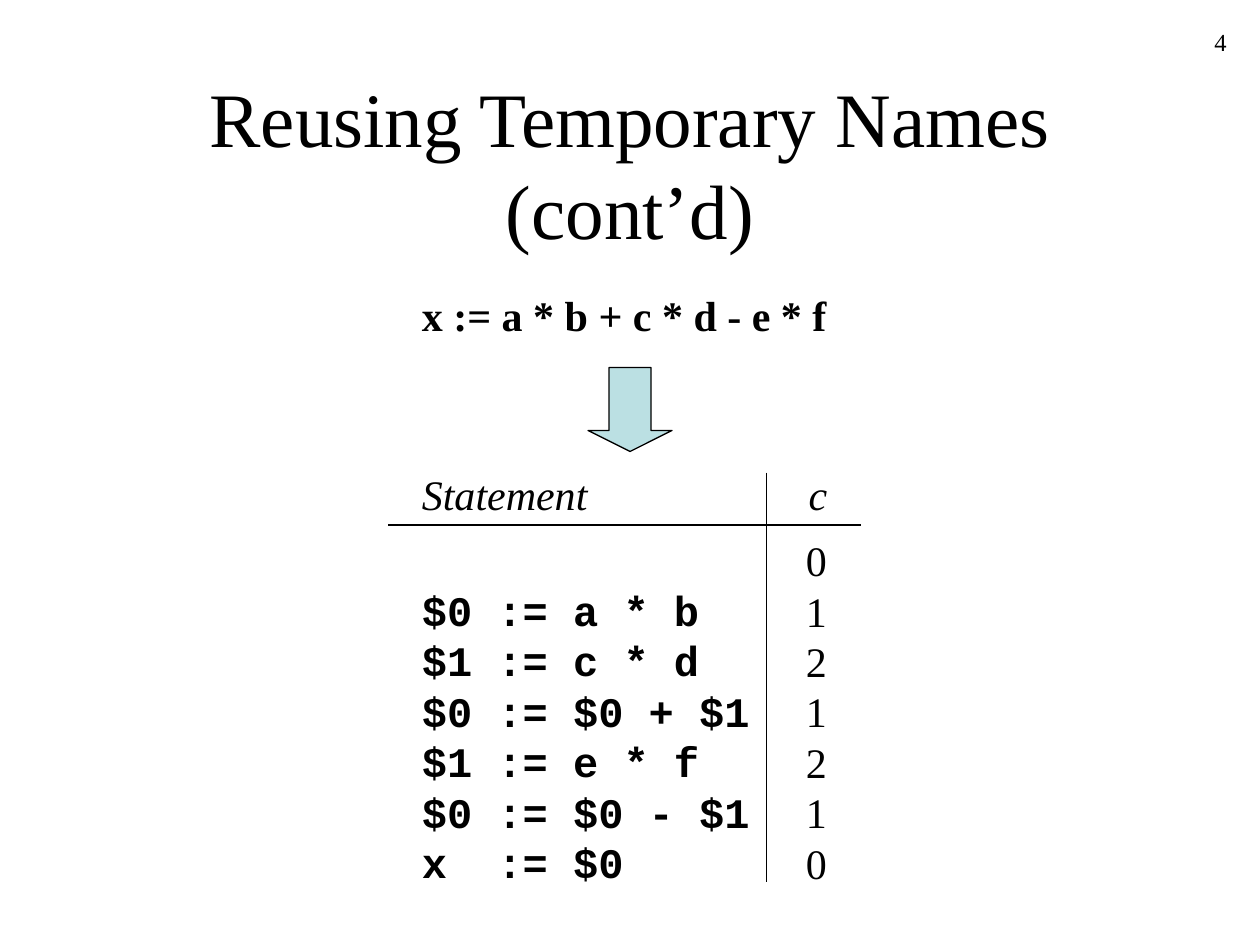
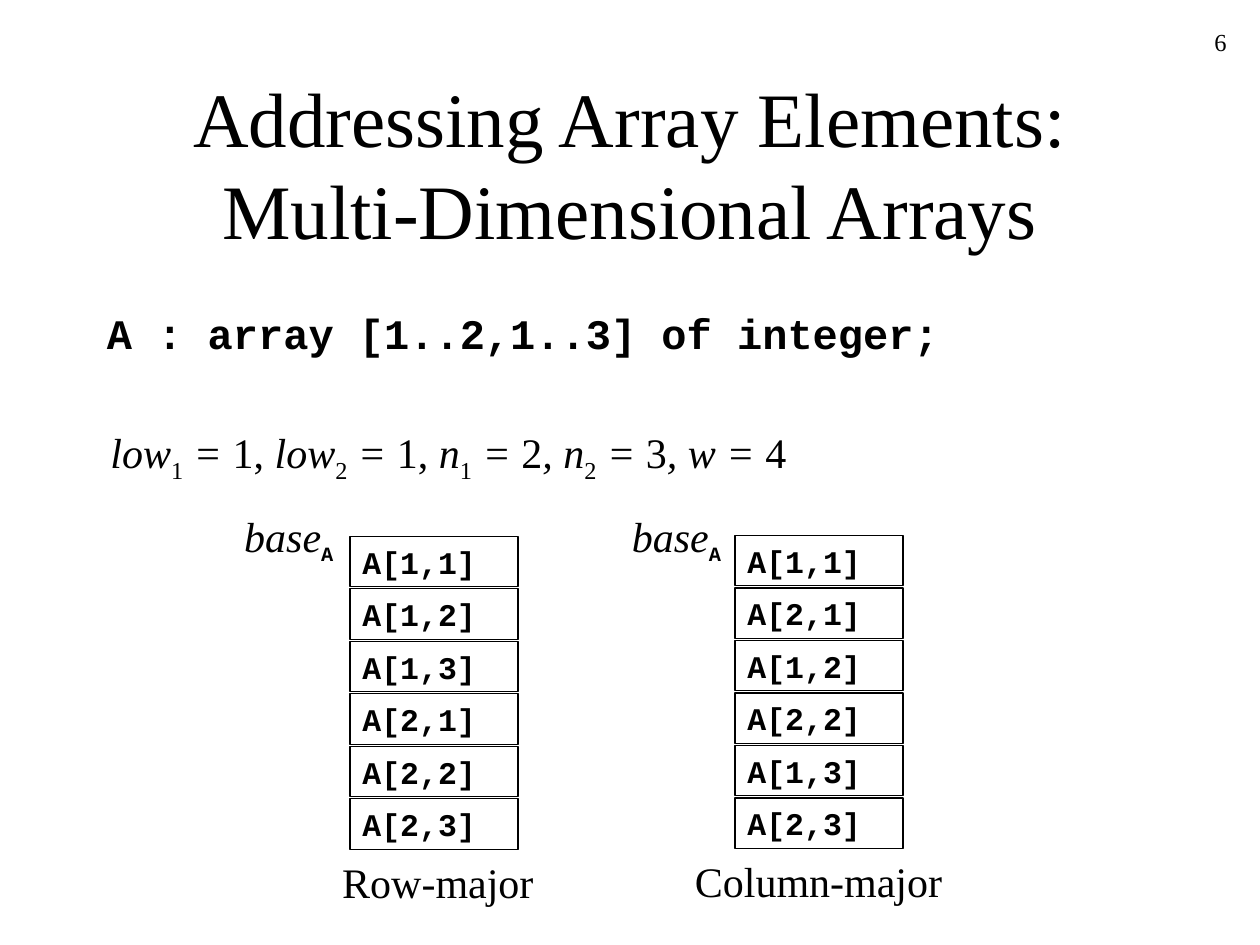
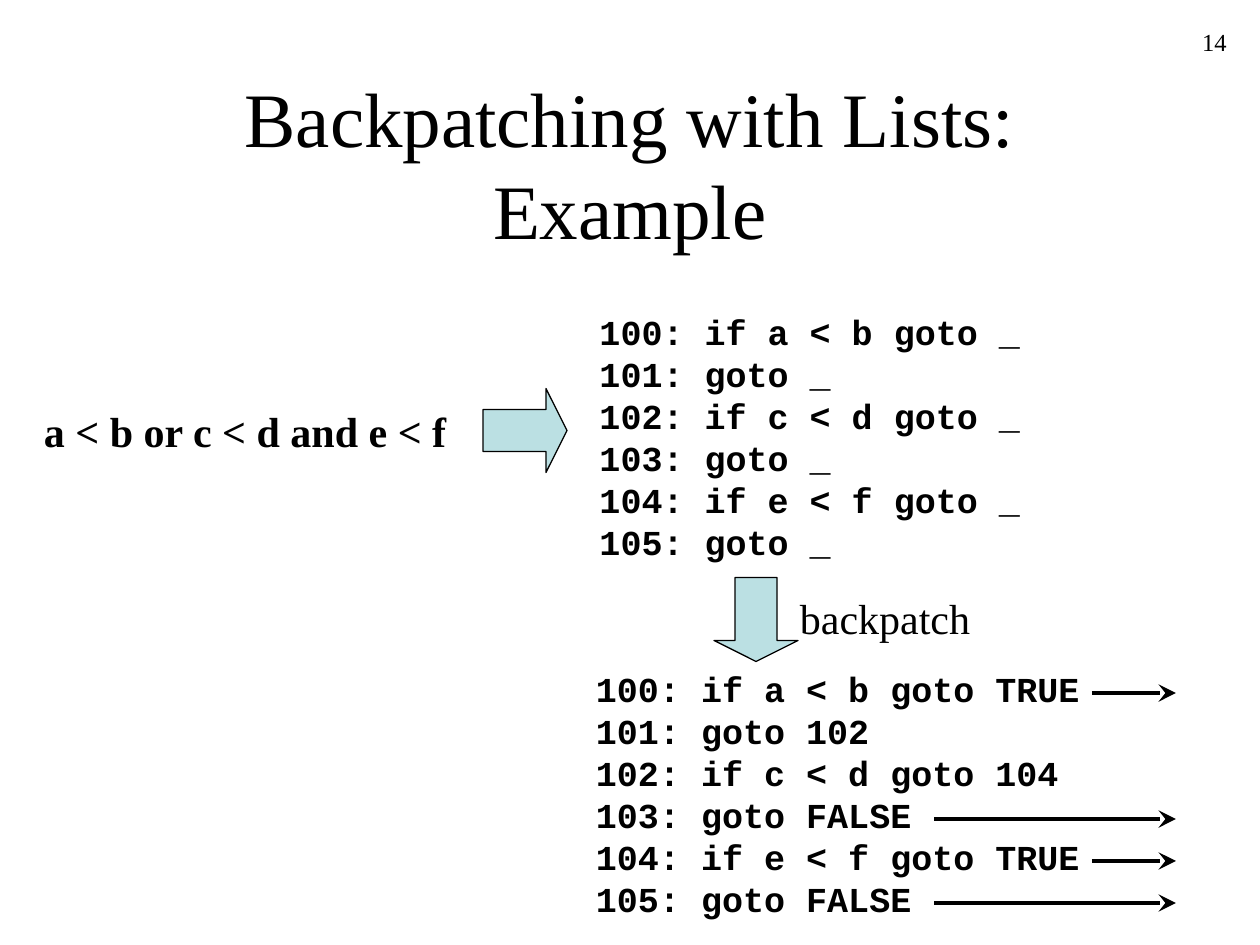
from lxml import etree
from pptx import Presentation
from pptx.dml.color import RGBColor
from pptx.enum.shapes import MSO_CONNECTOR, MSO_SHAPE
from pptx.enum.text import MSO_ANCHOR, MSO_AUTO_SIZE, PP_ALIGN
from pptx.oxml.ns import qn
from pptx.util import Pt

COLORS = {"ink": "000000", "arrow": "BBE0E3"}
SERIF, MONO = "Times New Roman", "Courier New"
LINE_HEIGHT = 1.2
TITLE_ONLY = 5

REUSE = {
    "number": 4,
    "title": "Reusing Temporary Names (cont’d)",
    "expression": "x := a * b + c * d - e * f",
    "headings": ("Statement", "c"),
    "statements": ["$0 := a * b", "$1 := c * d", "$0 := $0 + $1",
                   "$1 := e * f", "$0 := $0 - $1", "x  := $0"],
    "counts": ["0", "1", "2", "1", "2", "1", "0"],
}

PLAIN = {"italic": False}
SUB = {"italic": False, "subscript": True}
ARRAYS = {
    "number": 6,
    "title": "Addressing Array Elements: Multi-Dimensional Arrays",
    "declaration": "A : array [1..2,1..3] of integer;",
    "bounds": [
        ("low", {}), ("1", SUB), (" = ", {}), ("1, ", PLAIN),
        ("low", {}), ("2", SUB), (" = ", {}), ("1,", PLAIN),
        (" n", {}), ("1", SUB), (" = ", {}), ("2", PLAIN),
        (", n", {}), ("2", SUB), (" = ", {}), ("3", PLAIN),
        (", w = ", {}), ("4", PLAIN),
    ],
    "base": [("base", {}), ("A", {**SUB, "size": 20, "font": MONO, "bold": True})],
    # caption, caption left and width, base label left, cells left and top, cells
    "layouts": [
        ("Row-major", 188.5, 124, 132.5, 200, 306.5,
         [(row, column) for row in (1, 2) for column in (1, 2, 3)]),
        ("Column-major", 390, 156, 354, 420, 306,
         [(row, column) for column in (1, 2, 3) for row in (1, 2)]),
    ],
}

BACKPATCH = {
    "number": 14,
    "title": "Backpatching with Lists: Example",
    "expression": "a < b or c < d and e < f",
    "step": "backpatch",
    "before": ["100: if a < b goto _", "101: goto _", "102: if c < d goto _",
               "103: goto _", "104: if e < f goto _", "105: goto _"],
    "after": ["100: if a < b goto TRUE", "101: goto 102", "102: if c < d goto 104",
              "103: goto FALSE", "104: if e < f goto TRUE", "105: goto FALSE"],
    "exit_starts": {"TRUE": 624, "FALSE": 534},
}


def color(name):
    return RGBColor.from_string(COLORS[name])


def format_span(span, size, font, bold, italic, subscript):
    span.font.size = Pt(size)
    span.font.name = font
    span.font.bold = bold
    span.font.italic = italic
    span.font.color.rgb = color("ink")
    if subscript:
        span._r.get_or_add_rPr().set("baseline", "-25000")


def write(shape, content, align=PP_ALIGN.LEFT, anchor=MSO_ANCHOR.TOP, wrap=False,
          grow=True, size=24, font=SERIF, bold=False, italic=False, leading=None):
    """Fill a shape with a string, a list of lines, or a list of (text, style) spans."""
    frame = shape.text_frame
    frame.word_wrap = wrap
    frame.auto_size = MSO_AUTO_SIZE.SHAPE_TO_FIT_TEXT if grow else MSO_AUTO_SIZE.NONE
    frame.vertical_anchor = anchor
    para = frame.paragraphs[0]
    para.alignment = align
    para.line_spacing = Pt(leading or LINE_HEIGHT * size)
    base = dict(size=size, font=font, bold=bold, italic=italic, subscript=False)
    if isinstance(content, str):
        content = [content]
    for index, part in enumerate(content):
        if isinstance(part, str):
            if index:
                para.add_line_break()
            part = (part, {})
        text, style = part
        span = para.add_run()
        span.text = text
        format_span(span, **{**base, **style})


def add_text(page, content, left, top, width, height=36, **style):
    box = page.shapes.add_textbox(Pt(left), Pt(top), Pt(width), Pt(height))
    write(box, content, **style)


def add_shape(page, kind, left, top, width, height, fill=None):
    shape = page.shapes.add_shape(kind, Pt(left), Pt(top), Pt(width), Pt(height))
    shape.shadow.inherit = False
    if fill:
        shape.fill.solid()
        shape.fill.fore_color.rgb = color(fill)
    else:
        shape.fill.background()
    shape.line.color.rgb = color("ink")
    shape.line.width = Pt(0.75)
    return shape


def add_block_arrow(page, left, top, rotation=0):
    arrow = add_shape(page, MSO_SHAPE.RIGHT_ARROW, left, top, 48, 48, "arrow")
    arrow.adjustments[0], arrow.adjustments[1] = 0.5, 0.25
    arrow.rotation = rotation


def add_line(page, x1, y1, x2, y2, width=0.75, arrowhead=False):
    line = page.shapes.add_connector(MSO_CONNECTOR.STRAIGHT, Pt(x1), Pt(y1), Pt(x2), Pt(y2))
    line.line.color.rgb = color("ink")
    line.line.width = Pt(width)
    if arrowhead:
        etree.SubElement(line.line._get_or_add_ln(), qn("a:tailEnd"),
                         type="stealth", w="lg", len="lg")
    etree.SubElement(line._element.spPr, qn("a:effectLst"))


def add_page(deck, content):
    """Add a slide with its title and page number."""
    page = deck.slides.add_slide(deck.slide_layouts[TITLE_ONLY])
    title = page.shapes.title
    title.left, title.top, title.width, title.height = Pt(54), Pt(48), Pt(612), Pt(90)
    write(title, content["title"], size=44, align=PP_ALIGN.CENTER,
          anchor=MSO_ANCHOR.MIDDLE, wrap=True, grow=False)
    add_text(page, str(content["number"]), 558, 12, 150, size=14,
             align=PP_ALIGN.RIGHT, wrap=True, grow=False)
    return page


def build_reuse(deck):
    page = add_page(deck, REUSE)
    statement, count = REUSE["headings"]
    add_text(page, REUSE["expression"], 234, 162, 246, bold=True)
    add_block_arrow(page, 336, 210, rotation=90)
    add_text(page, statement, 234, 264, 111, italic=True)
    add_text(page, count, 455, 264, 26, italic=True)
    add_text(page, REUSE["statements"], 234, 330.5, 202, 180, font=MONO, bold=True)
    add_text(page, REUSE["counts"], 453.5, 302, 28, 209)
    add_line(page, 222, 300, 492, 300)
    add_line(page, 438, 270, 438, 504)


def build_arrays(deck):
    page = add_page(deck, ARRAYS)
    add_text(page, ARRAYS["declaration"], 54, 172, 490, font=MONO, bold=True)
    add_text(page, ARRAYS["bounds"], 56, 240, 404, 40, italic=True, leading=33.2)
    for caption, caption_left, caption_width, base_left, left, top, cells in ARRAYS["layouts"]:
        add_text(page, ARRAYS["base"], base_left, 288, 66, 39, italic=True, leading=31.7)
        for index, (row, column) in enumerate(cells):
            cell = add_shape(page, MSO_SHAPE.RECTANGLE, left, top + 30 * index, 96, 28.8)
            write(cell, f"A[{row},{column}]", size=18, font=MONO, bold=True, wrap=True)
        add_text(page, caption, caption_left, top + 179.5, caption_width)


def build_backpatch(deck):
    page = add_page(deck, BACKPATCH)
    code = dict(size=20, font=MONO, bold=True)
    add_text(page, BACKPATCH["expression"], 18, 228, 245, bold=True)
    add_block_arrow(page, 276, 222)
    add_text(page, BACKPATCH["before"], 335.5, 174, 255, 151, **code)
    add_block_arrow(page, 408, 330, rotation=90)
    add_text(page, BACKPATCH["step"], 450, 335, 112)
    add_text(page, BACKPATCH["after"], 333.5, 378, 291, 151, **code)
    for index, line in enumerate(BACKPATCH["after"]):
        start = BACKPATCH["exit_starts"].get(line.split()[-1])
        if start:
            y = 396 + LINE_HEIGHT * code["size"] * index
            add_line(page, start, y, 672, y, width=2, arrowhead=True)


def main():
    deck = Presentation()
    deck.slide_width, deck.slide_height = Pt(720), Pt(540)
    build_reuse(deck)
    build_arrays(deck)
    build_backpatch(deck)
    deck.save("out.pptx")


if __name__ == "__main__":
    main()
